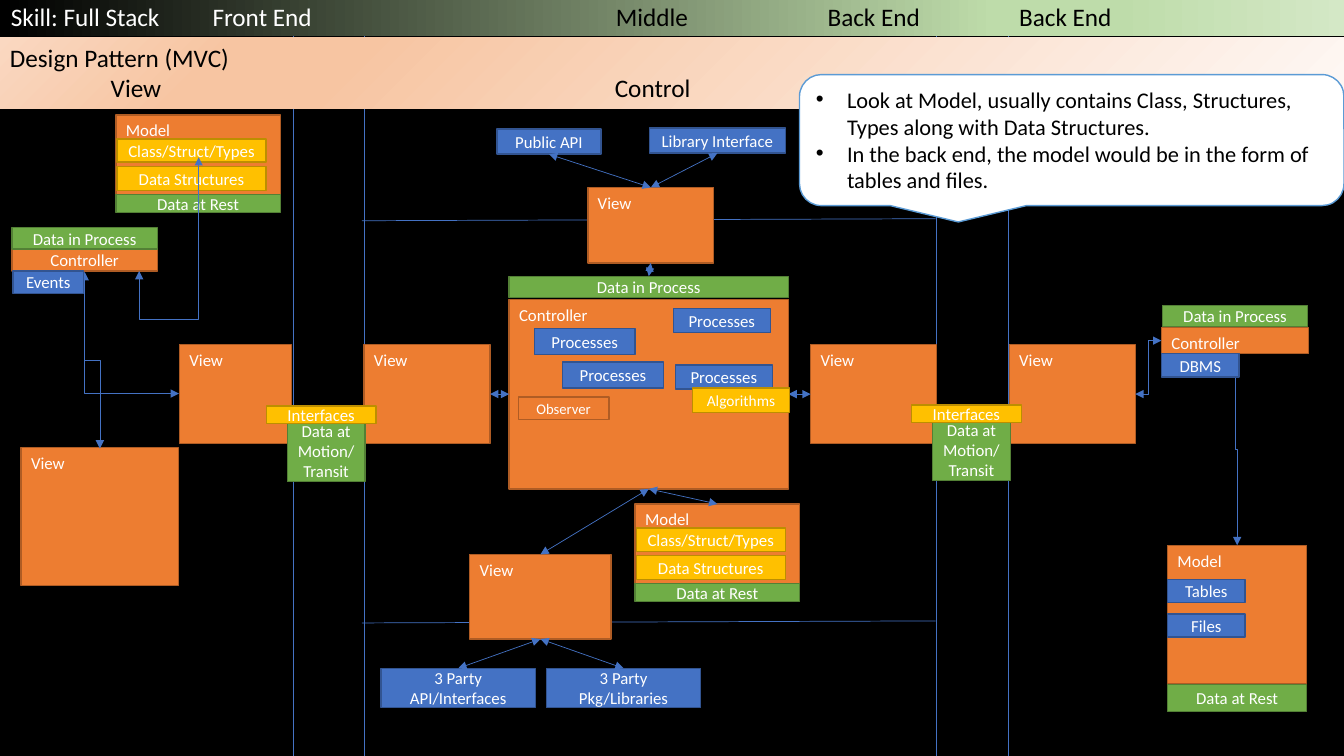
import lxml.etree
import pptx
import pptx.dml.color
import pptx.enum.shapes
import pptx.enum.text
import pptx.oxml.ns
import pptx.util

Inches = pptx.util.Inches
qn = pptx.oxml.ns.qn
SHAPES = pptx.enum.shapes.MSO_SHAPE
LINES = pptx.enum.shapes.MSO_CONNECTOR
ALIGN = pptx.enum.text.PP_ALIGN
ANCHOR = pptx.enum.text.MSO_ANCHOR

# Each paint is a fill and an edge colour.
ORANGE = ("ED7D31", "AF5C24")
GREEN = ("70AD47", "538035")
YELLOW = ("FFC000", "BD8E00")
BLUE = ("4472C4", "325491")
TOP, LEFT, BOTTOM, RIGHT = range(4)


def tint(target, shade):
    target.rgb = pptx.dml.color.RGBColor.from_string(shade)


def child(parent, tag, **values):
    return lxml.etree.SubElement(parent, qn(tag), {k: str(v) for k, v in values.items()})


def style(run, size, shade):
    run.font.name = "Calibri"
    run.font.size = pptx.util.Pt(size)
    tint(run.font.color, shade)


def add_form(slide, kind, left, top, width, height):
    form = slide.shapes.add_shape(
        kind, Inches(left), Inches(top), Inches(width), Inches(height))
    form.shadow.inherit = False
    form.text_frame.word_wrap = True
    form.text_frame.vertical_anchor = ANCHOR.TOP
    return form


def paint_form(form, paint):
    fill, edge = paint
    form.fill.solid()
    tint(form.fill.fore_color, fill)
    tint(form.line.color, edge)
    form.line.width = pptx.util.Pt(1)


def add_box(slide, text, paint, left, top, width, height, size=12, mid=True):
    """Add a labelled box; mid centres the label, else it sits at top left."""
    box = add_form(slide, SHAPES.RECTANGLE, left, top, width, height)
    paint_form(box, paint)
    frame = box.text_frame
    frame.text = text
    if mid:
        frame.vertical_anchor = ANCHOR.MIDDLE
    frame.paragraphs[0].alignment = ALIGN.CENTER if mid else ALIGN.LEFT
    style(frame.paragraphs[0].runs[0], size, "FFFFFF")
    return box


def add_block(slide, text, left, top, width, height):
    return add_box(slide, text, ORANGE, left, top, width, height, mid=False)


def add_model(slide, left, top):
    """Add a model with its types, structures and data at rest."""
    block = add_block(slide, "Model", left, top, 1.63, 0.79)
    add_box(slide, "Data at Rest", GREEN, left, top + 0.79, 1.63, 0.18)
    add_box(slide, "Class/Struct/Types", YELLOW, left + 0.01, top + 0.24, 1.48, 0.23)
    add_box(slide, "Data Structures", YELLOW, left + 0.01, top + 0.51, 1.48, 0.24)
    return block


def add_gate(slide, left, top):
    """Add an interface bar above its data in transit."""
    add_box(slide, "Data at Motion/Transit", GREEN, left + 0.21, top + 0.14, 0.77, 0.61)
    add_box(slide, "Interfaces", YELLOW, left, top, 1.09, 0.17)


def add_band(slide, left, top, height, stops, shade, rows, tabs):
    """Add a blended strip; rows hold lists of (text, colour) runs."""
    band = add_form(slide, SHAPES.RECTANGLE, left, top, 13.33, height)
    band.line.fill.background()
    band.fill.gradient()
    blend = band._element.spPr.find(qn("a:gradFill"))
    blend.clear()
    marks = child(blend, "a:gsLst")
    for place, color in stops:
        child(child(marks, "a:gs", pos=place * 1000), "a:srgbClr", val=color)
    if shade == "circle":
        child(child(blend, "a:path", path=shade), "a:fillToRect", l=100000, t=100000)
    else:
        child(blend, "a:lin", ang=0, scaled=0)
    frame = band.text_frame
    for index, row in enumerate(rows):
        line = frame.add_paragraph() if index else frame.paragraphs[0]
        line.alignment = ALIGN.LEFT
        stops_list = child(line._p.get_or_add_pPr(), "a:tabLst")
        for place in tabs:
            child(stops_list, "a:tab", pos=Inches(place), algn="l")
        for text, color in row:
            run = line.add_run()
            run.text = text
            style(run, 18, color)


def add_line(slide, start, end, kind=LINES.STRAIGHT, heads=False):
    line = slide.shapes.add_connector(kind, *(Inches(n) for n in (*start, *end)))
    tint(line.line.color, BLUE[0])
    line.line.width = pptx.util.Pt(0.5)
    if heads:
        edge = line.line._get_or_add_ln()
        child(edge, "a:headEnd", type="triangle")
        child(edge, "a:tailEnd", type="triangle")
    child(line._element.spPr, "a:effectLst")
    return line


def join(slide, first, side, second, other):
    line = add_line(slide, (0, 0), (1, 1), heads=True)
    line.begin_connect(first, side)
    line.end_connect(second, other)


def add_bend(slide, start, end, turn=0, form="bentConnector3", bend=0.5):
    """Add an elbow; start and end are its corners before the turn in degrees."""
    line = add_line(slide, start, end, LINES.ELBOW, heads=True)
    line.rotation = 0 if not hasattr(line, "rotation") else line.rotation
    line._element.spPr.find(qn("a:xfrm")).set("rot", str(turn * 60000))
    shape = line._element.spPr.find(qn("a:prstGeom"))
    shape.set("prst", form)
    if form == "bentConnector3":
        child(shape.find(qn("a:avLst")), "a:gd", name="adj1", fmla=f"val {round(bend * 100000)}")


def add_callout(slide, lines):
    note = add_form(slide, SHAPES.ROUNDED_RECTANGULAR_CALLOUT, 7.93, 0.74, 5.4, 1.3)
    paint_form(note, ("FFFFFF", "5B9BD5"))
    note.text_frame.text = "\n".join(lines)
    for line in note.text_frame.paragraphs:
        line.alignment = ALIGN.LEFT
        props = line._p.get_or_add_pPr()
        props.set("marL", str(Inches(0.31)))
        props.set("indent", str(Inches(-0.31)))
        child(props, "a:buFont", typeface="Arial")
        child(props, "a:buChar", char="•")
        style(line.runs[0], 16, "000000")


def add_bands(slide):
    black, white = "000000", "FFFFFF"
    add_band(slide, 0, 0.37, 0.71,
             [(0, "FEF8F5"), (74, "F7C5A2"), (83, "F7C5A2"), (100, "FAD8C1")], "circle",
             [[("Design Pattern (MVC)", black)], [("\tView\tControl\tModel", black)]],
             (1, 6, 11))
    add_band(slide, 0.01, -0.04, 0.4,
             [(0, "000000"), (74, "BEDCAA"), (83, "BEDCAA"), (100, "D4E8C6")], "linear",
             [[("Skill: Full Stack\tFront End", white),
               ("\tMiddle\tBack End\tBack End", black)]],
             (2, 6, 8.1, 10))


def add_front(slide):
    add_block(slide, "View", 1.78, 3.42, 1.11, 0.98)
    add_block(slide, "View", 0.21, 4.44, 1.56, 1.37)
    add_box(slide, "Controller", ORANGE, 0.12, 2.47, 1.44, 0.22)
    add_box(slide, "Data in Process", GREEN, 0.12, 2.26, 1.44, 0.21)
    add_model(slide, 1.15, 1.14)
    add_bend(slide, (2.24, 2.42), (1.11, 1.83), 90, bend=-0.42)
    add_bend(slide, (1.79, 3.5), (0.04, 3.65), 270)
    add_bend(slide, (1.91, 2.83), (0.7, 3.77), 270, "bentConnector2")
    add_box(slide, "Events", BLUE, 0.13, 2.69, 0.7, 0.22)


def add_middle(slide):
    west, east = [add_block(slide, "View", left, 3.42, 1.25, 0.98) for left in (3.61, 8.04)]
    upper = add_block(slide, "View", 5.83, 1.86, 1.25, 0.75)
    lower = add_block(slide, "View", 4.66, 5.5, 1.4, 0.84)
    core = add_block(slide, "Controller", 5.05, 2.97, 2.77, 1.88)
    data = add_box(slide, "Data in Process", GREEN, 5.05, 2.74, 2.77, 0.21)
    model = add_model(slide, 6.3, 5)
    add_box(slide, "Observer", ORANGE, 5.14, 3.94, 0.9, 0.22, 10.5)
    for left, top, width, height in ((5.3, 3.26, 1, 0.26), (6.68, 3.06, 0.96, 0.24),
                                     (6.7, 3.62, 0.96, 0.24), (5.58, 3.59, 1, 0.26)):
        add_box(slide, "Processes", BLUE, left, top, width, height)
    for text, left, top, width in (("Public API", 4.93, 1.28, 1.03),
                                   ("Library Interface", 6.44, 1.27, 1.35)):
        join(slide, upper, TOP, add_box(slide, text, BLUE, left, top, width, 0.25), BOTTOM)
    for text, left in (("3 Party API/Interfaces", 3.78), ("3 Party Pkg/Libraries", 5.42)):
        join(slide, lower, BOTTOM, add_box(slide, text, BLUE, left, 6.63, 1.53, 0.39), TOP)
    join(slide, core, LEFT, west, RIGHT)
    join(slide, core, RIGHT, east, LEFT)
    join(slide, core, BOTTOM, model, TOP)
    join(slide, core, BOTTOM, lower, TOP)
    join(slide, data, TOP, upper, BOTTOM)
    add_box(slide, "Algorithms", YELLOW, 6.87, 3.85, 0.96, 0.24, 11)


def add_back(slide):
    add_block(slide, "View", 10.01, 3.42, 1.25, 0.98)
    add_block(slide, "Controller", 11.52, 3.25, 1.46, 0.26)
    add_box(slide, "Data in Process", GREEN, 11.53, 3.03, 1.44, 0.21)
    add_block(slide, "Model", 11.58, 5.41, 1.38, 1.37)
    add_box(slide, "Tables", BLUE, 11.58, 5.75, 0.77, 0.23)
    add_box(slide, "Files", BLUE, 11.58, 6.09, 0.77, 0.23)
    add_box(slide, "Data at Rest", GREEN, 11.58, 6.79, 1.38, 0.27)
    add_bend(slide, (11.26, 3.91), (11.52, 3.38))
    add_bend(slide, (13.21, 4.45), (11.31, 4.47), 270)
    add_box(slide, "DBMS", BLUE, 11.52, 3.51, 0.77, 0.23)


def main():
    deck = pptx.Presentation()
    deck.slide_width, deck.slide_height = Inches(13.33), Inches(7.5)
    slide = deck.slides.add_slide(deck.slide_layouts[6])
    slide.background.fill.solid()
    tint(slide.background.fill.fore_color, "000000")
    for left in (2.91, 3.61, 9.29, 10):
        add_line(slide, (left, 0), (left, 7.5))
    for top in (2.17, 6.16):
        add_line(slide, (9.28, top), (3.59, top + 0.02))
    add_bands(slide)
    add_front(slide)
    add_middle(slide)
    add_back(slide)
    for left, top in ((2.64, 4.03), (9.04, 4.02)):
        add_gate(slide, left, top)
    add_callout(slide, [
        "Look at Model, usually contains Class, Structures, Types along with Data Structures.",
        "In the back end, the model would be in the form of tables and files."])
    deck.save("out.pptx")


if __name__ == "__main__":
    main()
